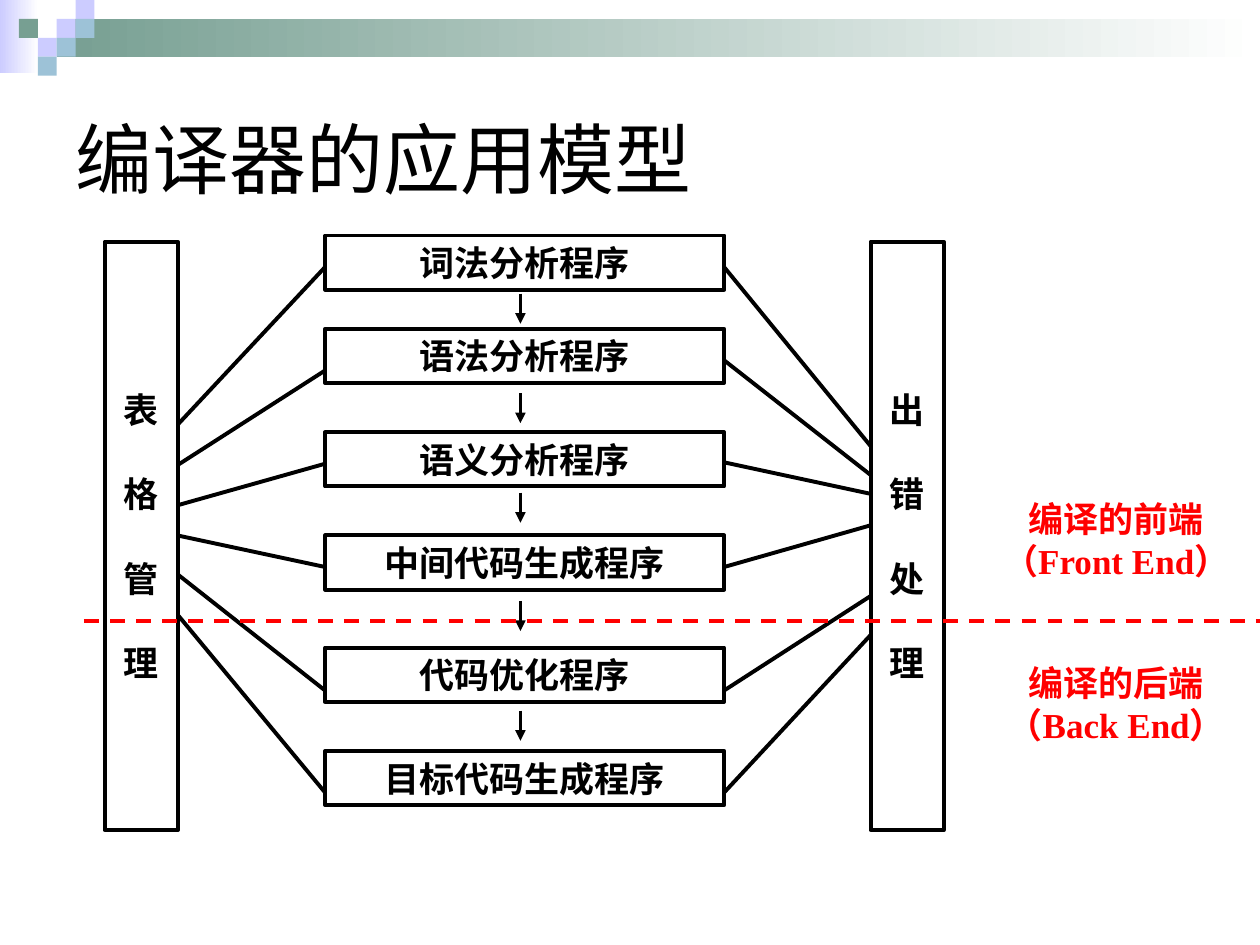
from lxml import etree
from pptx import Presentation
from pptx.dml.color import RGBColor
from pptx.enum.dml import MSO_LINE
from pptx.enum.shapes import MSO_CONNECTOR, MSO_SHAPE
from pptx.enum.text import MSO_ANCHOR, PP_ALIGN
from pptx.oxml.ns import qn
from pptx.util import Pt

RECTANGLE = MSO_SHAPE.RECTANGLE
STRAIGHT = MSO_CONNECTOR.STRAIGHT
DASH = MSO_LINE.DASH
MIDDLE = MSO_ANCHOR.MIDDLE
CENTER, LEFT = PP_ALIGN.CENTER, PP_ALIGN.LEFT

COLORS = {
    "black": "000000",
    "white": "FFFFFF",
    "red": "FF0000",
    "lilac": "CCCCFF",
    "green": "779F92",
    "blue": "9DC2D7",
}

SQUARE = 10.8
SQUARES = [  # column, row, colour
    (3, 1, "lilac"), (4, 0, "lilac"), (4, 1, "blue"), (2, 2, "lilac"),
    (1, 1, "green"), (3, 2, "blue"), (2, 3, "blue"),
]

COLUMN_TOP, COLUMN_WIDTH, COLUMN_HEIGHT = 138.2, 41.8, 336.2
TABLES_LEFT, ERRORS_LEFT = 59.8, 497.5
STAGE_LEFT, STAGE_WIDTH, STAGE_HEIGHT = 185.8, 228, 31
ARROW_X, ARROW_LENGTH = 297.4, 17.2
STAGES = [  # name, top, left link (column y, stage y), right link (stage y, column y)
    ("词法分析程序", 134.6, (242.6, 152.6), (152.6, 254.9)),
    ("语法分析程序", 187.9, (265.7, 211.7), (205.9, 271.4)),
    ("语义分析程序", 247, (288.7, 265), (264.2, 282.2)),
    ("中间代码生成程序", 306, (306, 324), (324, 300.2)),
    ("代码优化程序", 370.1, (328.3, 394.6), (394.6, 340.6)),
    ("目标代码生成程序", 429.1, (351.4, 452.9), (452.9, 362.9)),
]
ARROW_TOPS = [167.8, 224.6, 281.5, 343.4, 406.1]


def rgb(color):
    return RGBColor.from_string(COLORS[color])


def write(shape, lines, size=20, font="Times New Roman", color="black",
          bold=True, align=CENTER, gap=0):
    """Fill a shape with one paragraph per line, gap points apart."""
    frame = shape.text_frame
    frame.word_wrap = True
    frame.vertical_anchor = MIDDLE
    for index, line in enumerate(lines):
        para = frame.paragraphs[0] if index == 0 else frame.add_paragraph()
        para.text = line
        para.alignment = align
        para.space_before = Pt(gap if index else 0)
        para.font.size = Pt(size)
        para.font.name = font
        para.font.bold = bold
        para.font.color.rgb = rgb(color)


def add_block(page, left, top, width, height, color, fade=False):
    """Add a borderless rectangle, plain or fading to white on the right."""
    block = page.shapes.add_shape(RECTANGLE, Pt(left), Pt(top), Pt(width), Pt(height))
    block.shadow.inherit = False
    block.line.fill.background()
    if fade:
        block.fill.gradient()
        block.fill.gradient_angle = 0
        for stop, position, shade in zip(block.fill.gradient_stops, (0, 1), (color, "white")):
            stop.position = position
            stop.color.rgb = rgb(shade)
    else:
        block.fill.solid()
        block.fill.fore_color.rgb = rgb(color)
    return block


def add_box(page, left, top, width, height, lines, gap=0):
    box = add_block(page, left, top, width, height, "white")
    box.line.color.rgb = rgb("black")
    box.line.width = Pt(2.25)
    write(box, lines, gap=gap)


def add_text(page, left, top, width, height, lines, **style):
    box = page.shapes.add_textbox(Pt(left), Pt(top), Pt(width), Pt(height))
    write(box, lines, **style)


def add_line(page, x1, y1, x2, y2, color="black", width=2.25, dash=None, arrow=False):
    line = page.shapes.add_connector(STRAIGHT, Pt(x1), Pt(y1), Pt(x2), Pt(y2))
    line.line.color.rgb = rgb(color)
    line.line.width = Pt(width)
    if dash:
        line.line.dash_style = dash
    if arrow:
        etree.SubElement(line.line._get_or_add_ln(), qn("a:tailEnd"), type="triangle")
    etree.SubElement(line._element.spPr, qn("a:effectLst"))


def add_decoration(page):
    add_block(page, 0, 0, 22, 41.8, "lilac", fade=True)
    add_block(page, 3 * SQUARE, SQUARE, 687.6, 21.6, "green", fade=True)
    for column, row, color in SQUARES:
        add_block(page, column * SQUARE, row * SQUARE, SQUARE, SQUARE, color)


def add_model(page):
    for left, name in ((TABLES_LEFT, "表格管理"), (ERRORS_LEFT, "出错处理")):
        add_box(page, left, COLUMN_TOP, COLUMN_WIDTH, COLUMN_HEIGHT, name, gap=24)
    for name, top, left_link, right_link in STAGES:
        add_box(page, STAGE_LEFT, top, STAGE_WIDTH, STAGE_HEIGHT, [name])
        add_line(page, TABLES_LEFT + COLUMN_WIDTH, left_link[0], STAGE_LEFT, left_link[1])
        add_line(page, STAGE_LEFT + STAGE_WIDTH, right_link[0], ERRORS_LEFT, right_link[1])
    for top in ARROW_TOPS:
        add_line(page, ARROW_X, top, ARROW_X, top + ARROW_LENGTH, width=2, arrow=True)


def add_division(page):
    """Separate the front end from the back end."""
    add_line(page, 48, 355, 720, 355, "red", 2.13, DASH)
    for top, lines in ((287.3, ["编译的前端", "（Front End）"]),
                       (380.9, ["编译的后端", "（Back End）"])):
        add_text(page, 558.7, top, 158.4, 41.8, lines, color="red")


def main():
    deck = Presentation()
    deck.slide_width, deck.slide_height = Pt(720), Pt(540)
    page = deck.slides.add_slide(deck.slide_layouts[6])
    add_decoration(page)
    add_text(page, 36, 36, 648, 108, ["编译器的应用模型"],
             size=44, font="Arial", bold=False, align=LEFT)
    add_model(page)
    add_division(page)
    deck.save("out.pptx")


if __name__ == "__main__":
    main()
